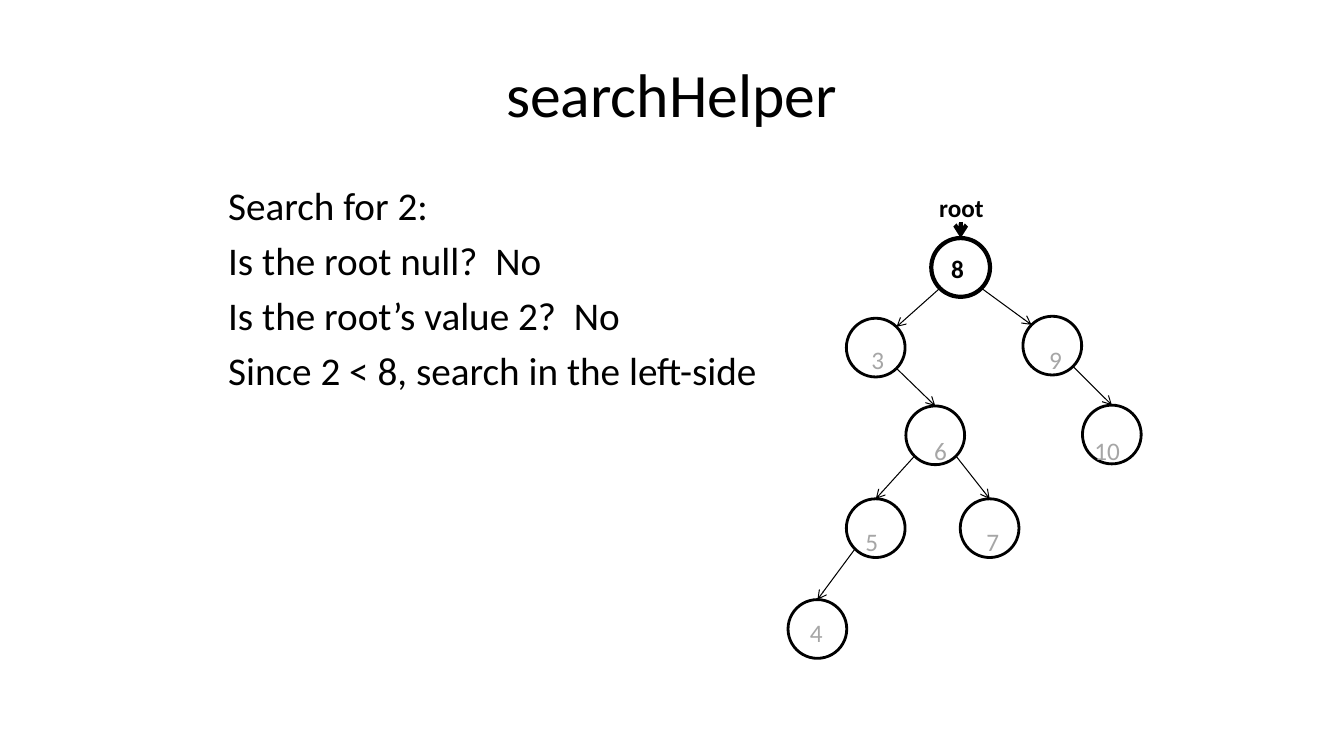
from lxml import etree
from pptx import Presentation, util as u
from pptx.dml.color import RGBColor
from pptx.enum import shapes, text
from pptx.oxml.ns import qn

BLACK, GREY = "000000", "A6A6A6"
DIAMETER = 1.48
RADIUS = DIAMETER / 2
DIAGONAL = RADIUS * 0.707


def color(value):
    return RGBColor.from_string(value)


def add_span(para, words, size, tint=BLACK, bold=False):
    span = para.add_run()
    span.text = words
    span.font.name = "Calibri"
    span.font.size = u.Pt(size)
    span.font.bold = bold
    span.font.color.rgb = color(tint)


deck = Presentation()
deck.slide_width, deck.slide_height = u.Cm(33.87), u.Cm(19.05)
page = deck.slides.add_slide(deck.slide_layouts[5])

# Title
title = page.shapes.title
title.left, title.top = u.Cm(1.69), u.Cm(0.76)
title.width, title.height = u.Cm(30.48), u.Cm(3.18)
title.text_frame.vertical_anchor = text.MSO_ANCHOR.MIDDLE
title_para = title.text_frame.paragraphs[0]
title_para.alignment = text.PP_ALIGN.CENTER
add_span(title_para, "searchHelper", 44)

# Search steps
steps = [
    "Search for 2:",
    "Is the root null?  No",
    "Is the root’s value 2?  No",
    "Since 2 < 8, search in the left-side",
]
box = page.shapes.add_textbox(u.Cm(5.5), u.Cm(4.45), u.Cm(15.1), u.Cm(12.7))
box.text_frame.word_wrap = True
for index, step in enumerate(steps):
    para = box.text_frame.paragraphs[0] if index == 0 else box.text_frame.add_paragraph()
    if index:
        para.space_before = u.Pt(5.6)
    add_span(para, step, 28)

# Tree nodes: centre of each circle
nodes = {
    "8": (24.21, 6.74),
    "3": (22.07, 8.76),
    "9": (26.52, 8.71),
    "6": (23.57, 10.97),
    "5": (22.07, 13.31),
    "7": (24.94, 13.31),
    "10": (28.02, 10.95),
    "4": (20.6, 15.85),
}
for value, (x, y) in nodes.items():
    circle = page.shapes.add_shape(
        shapes.MSO_SHAPE.OVAL, u.Cm(x - RADIUS), u.Cm(y - RADIUS), u.Cm(DIAMETER), u.Cm(DIAMETER))
    circle.shadow.inherit = False
    circle.fill.background()
    circle.line.color.rgb = color(BLACK)
    circle.line.width = u.Pt(3 if value == "8" else 2)

# Arrows: the root pointer, then each parent to its child
root_x, root_y = nodes["8"]
arrows = [(root_x, 5.59, root_x, root_y - RADIUS, 3)]
edges = [("8", "3"), ("8", "9"), ("3", "6"), ("9", "10"), ("6", "7"), ("6", "5"), ("5", "4")]
for parent, child in edges:
    (x1, y1), (x2, y2) = nodes[parent], nodes[child]
    side = 1 if x2 > x1 else -1
    if parent == "8":
        end_x, end_y = x2 - side * DIAGONAL, y2 - DIAGONAL
    else:
        end_x, end_y = x2, y2 - RADIUS
    arrows.append((x1 + side * DIAGONAL, y1 + DIAGONAL, end_x, end_y, 0.75))

for x1, y1, x2, y2, weight in arrows:
    arrow = page.shapes.add_connector(
        shapes.MSO_CONNECTOR.STRAIGHT, u.Cm(x1), u.Cm(y1), u.Cm(x2), u.Cm(y2))
    arrow.line.color.rgb = color(BLACK)
    arrow.line.width = u.Pt(weight)
    etree.SubElement(arrow.line._get_or_add_ln(), qn("a:tailEnd"), type="arrow")
    etree.SubElement(arrow._element.spPr, qn("a:effectLst"))

# Labels: centre across, text row, colour
ROW_TOP, ROW_STEP = 5.24, 0.764
labels = [
    ("root", 24.23, 0, BLACK),
    ("8", 24.13, 2, BLACK),
    ("3", 22.12, 5, GREY),
    ("9", 26.6, 5, GREY),
    ("6", 23.7, 8, GREY),
    ("10", 27.9, 8, GREY),
    ("5", 21.97, 11, GREY),
    ("7", 25.02, 11, GREY),
    ("4", 20.57, 14, GREY),
]
for words, x, row, tint in labels:
    label = page.shapes.add_textbox(
        u.Cm(x - 0.8), u.Cm(ROW_TOP + row * ROW_STEP - 0.4), u.Cm(1.6), u.Cm(0.8))
    frame = label.text_frame
    frame.margin_left = frame.margin_right = frame.margin_top = frame.margin_bottom = 0
    frame.word_wrap = True
    frame.vertical_anchor = text.MSO_ANCHOR.MIDDLE
    frame.paragraphs[0].alignment = text.PP_ALIGN.CENTER
    add_span(frame.paragraphs[0], words, 18, tint, tint == BLACK)

deck.save("out.pptx")
